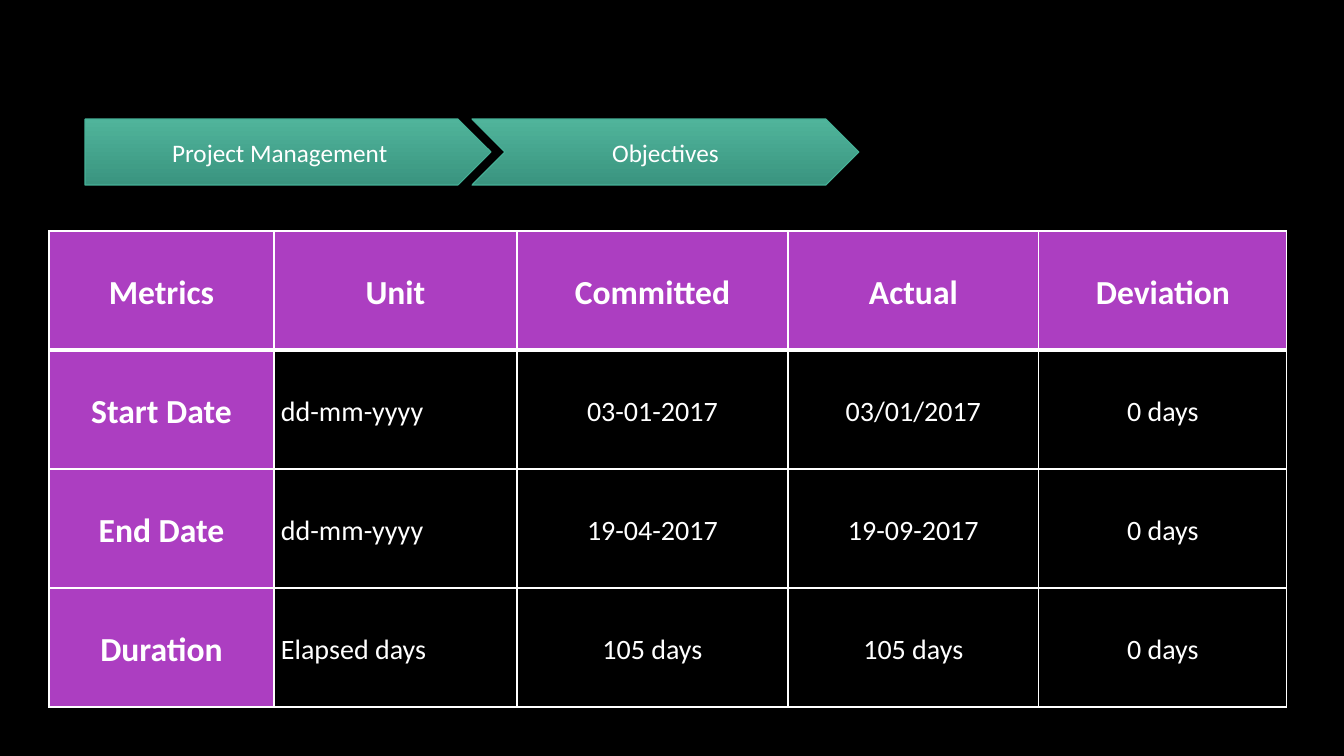
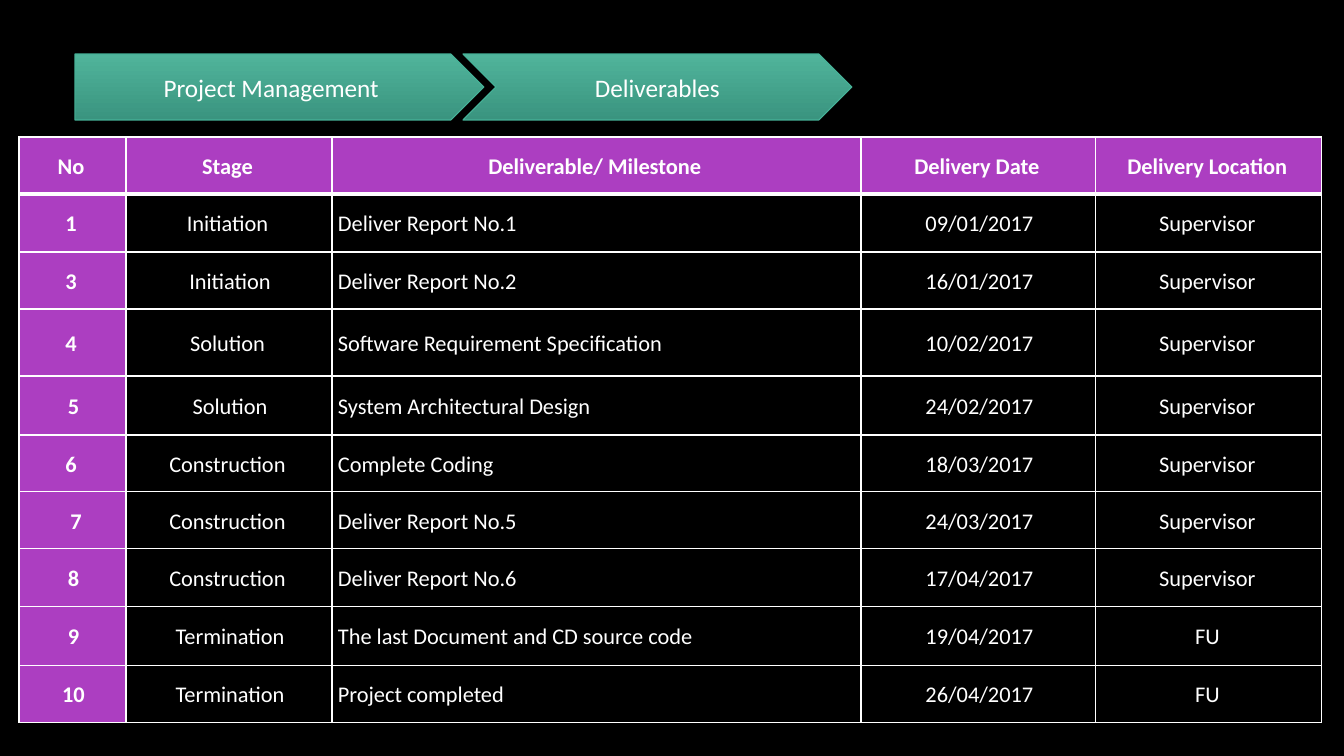
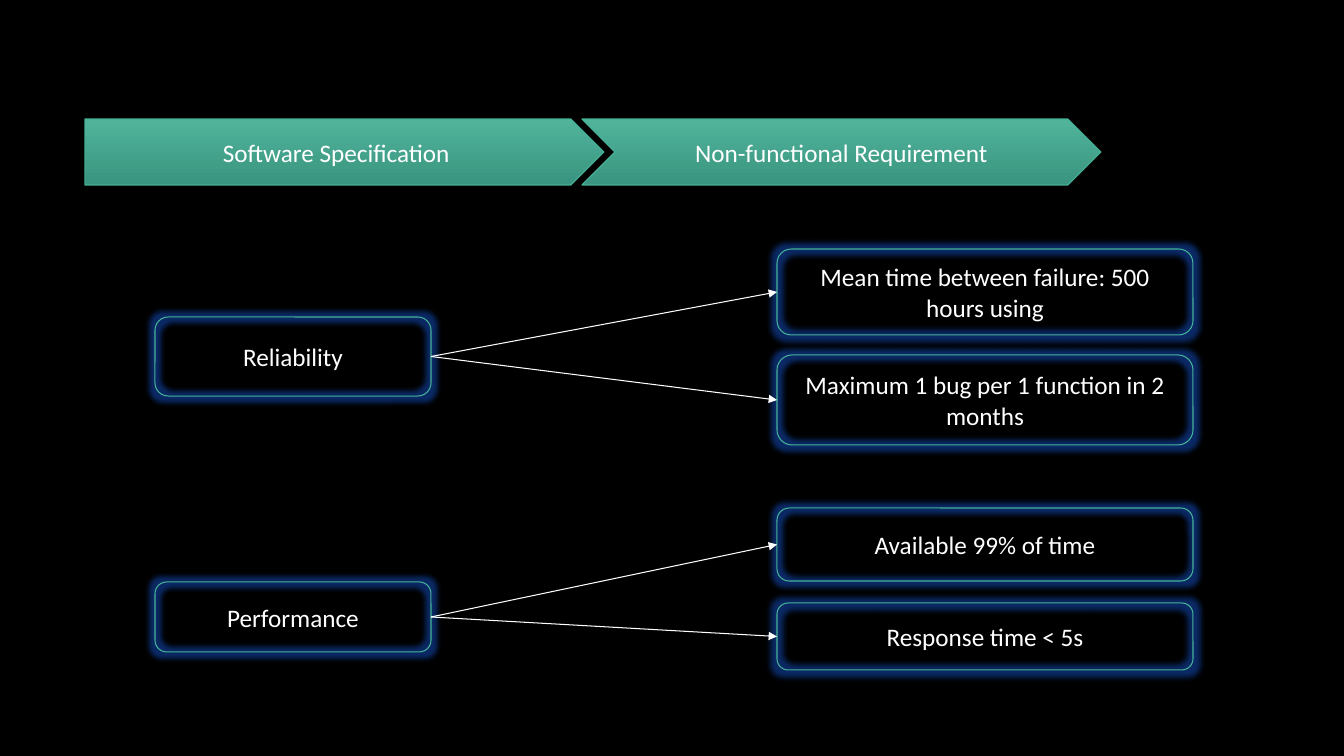
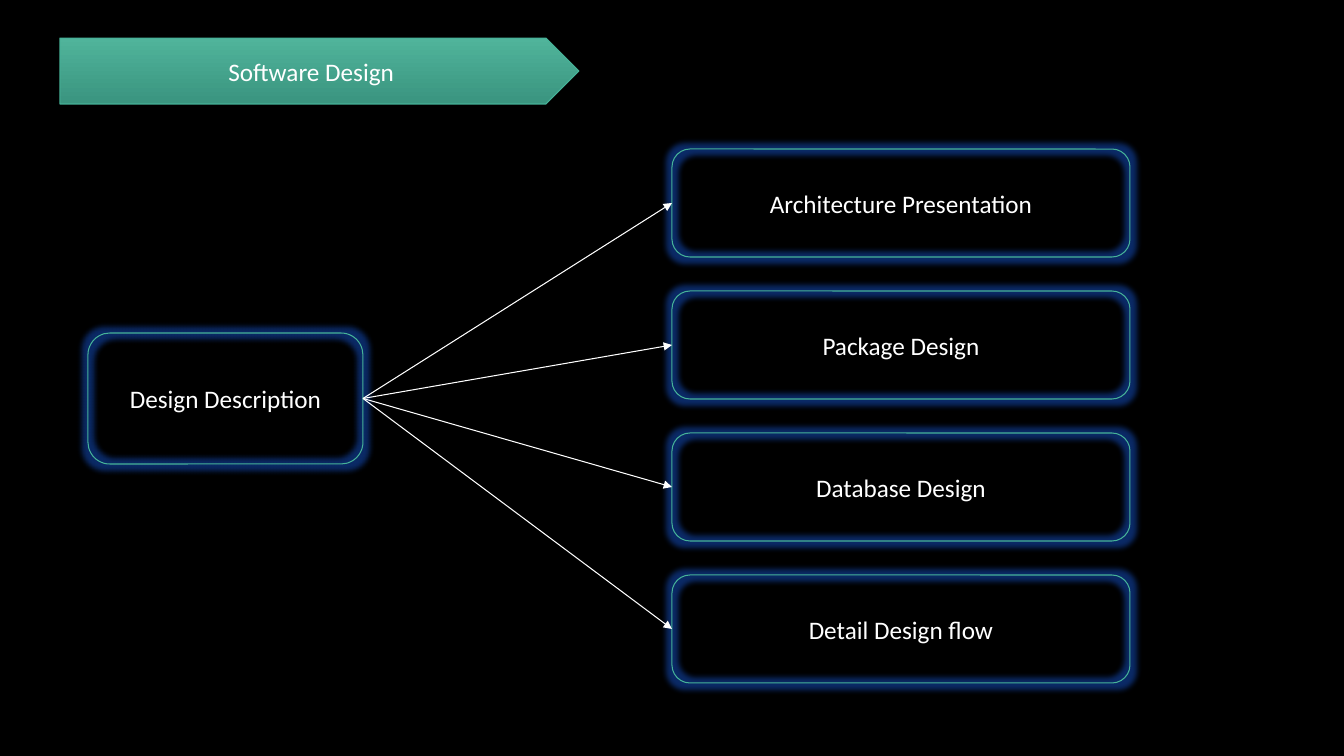
from collections import namedtuple
from itertools import product

from lxml.etree import SubElement
from pptx import Presentation
from pptx.dml.color import RGBColor
from pptx.enum.shapes import MSO_CONNECTOR, MSO_SHAPE
from pptx.enum.text import MSO_ANCHOR, PP_ALIGN
from pptx.oxml.ns import qn
from pptx.util import Emu, Pt

FONT = "Calibri"
WHITE = "FFFFFF"
BLACK = "000000"
PURPLE = "AC3EC1"
GREEN = "46B298"
GREEN_TOP = "50B49B"
GREEN_BOTTOM = "3A947F"
GLOW = "1B69FF"
STEP_HEIGHT = 66
LEFT_SITE, RIGHT_SITE = 1, 3

Box = namedtuple("Box", "left top width height")
TableStyle = namedtuple("TableStyle", "head_size body_size spacing left_inset right_inset")

OBJECTIVES = [
    ("Metrics", "Unit", "Committed", "Actual", "Deviation"),
    ("Start Date", "dd-mm-yyyy", "03-01-2017", "03/01/2017", "0 days"),
    ("End Date", "dd-mm-yyyy", "19-04-2017", "19-09-2017", "0 days"),
    ("Duration", "Elapsed days", "105 days", "105 days", "0 days"),
]

DELIVERABLES = [
    ("No ", "Stage ", "Deliverable/ Milestone ", "Delivery Date ", "Delivery Location "),
    ("1 ", "Initiation ", "Deliver Report No.1", "09/01/2017", "Supervisor "),
    ("3 ", "Initiation", "Deliver Report No.2", "16/01/2017", "Supervisor "),
    ("4 ", "Solution ", "Software Requirement Specification", "10/02/2017", "Supervisor "),
    ("5", "Solution", "System Architectural Design", "24/02/2017", "Supervisor "),
    ("6 ", "Construction ", "Complete Coding", "18/03/2017", "Supervisor "),
    (" 7", "Construction ", "Deliver Report No.5", "24/03/2017", "Supervisor "),
    ("8", "Construction ", "Deliver Report No.6", "17/04/2017", "Supervisor "),
    ("9", "Termination", "The last Document and CD source code", "19/04/2017", "FU "),
    ("10", "Termination", "Project completed", "26/04/2017", "FU "),
]


def px(length):
    return Emu(round(length * 914400 / 100.8))


def color(value):
    return RGBColor.from_string(value)


def place(box):
    return [px(length) for length in box]


def write(frame, text, size, bold=False, align=PP_ALIGN.CENTER):
    para = frame.paragraphs[0]
    para.text = text
    para.alignment = align
    para.font.name = FONT
    para.font.size = Pt(size)
    para.font.bold = bold
    para.font.color.rgb = color(WHITE)
    return para


def add_label_shape(page, kind, box, text):
    shape = page.shapes.add_shape(kind, *place(box))
    shape.shadow.inherit = False
    shape.line.color.rgb = color(GREEN)
    shape.line.width = Pt(0.75)
    shape.text_frame.word_wrap = True
    shape.text_frame.vertical_anchor = MSO_ANCHOR.MIDDLE
    write(shape.text_frame, text, 18)
    return shape


def add_breadcrumb(page, top, steps):
    for index, (text, left, width) in enumerate(steps):
        kind = MSO_SHAPE.CHEVRON if index else MSO_SHAPE.PENTAGON
        step = add_label_shape(page, kind, Box(left, top, width, STEP_HEIGHT), text)
        step.fill.gradient()
        step.fill.gradient_angle = 270
        for stop, value, position in zip(step.fill.gradient_stops, (GREEN_TOP, GREEN_BOTTOM), (0, 1)):
            stop.color.rgb = color(value)
            stop.position = position


def add_glow_box(page, box, text):
    shape = add_label_shape(page, MSO_SHAPE.ROUNDED_RECTANGLE, box, text)
    shape.fill.background()
    effects = shape.element.spPr.find(qn("a:effectLst"))
    glow = SubElement(effects, qn("a:glow"), rad=str(Pt(8)))
    tint = SubElement(glow, qn("a:srgbClr"), val=GLOW)
    SubElement(tint, qn("a:alpha"), val="40000")
    return shape


def add_arrow(page, source, target):
    arrow = page.shapes.add_connector(MSO_CONNECTOR.STRAIGHT, 0, 0, 0, 0)
    arrow.begin_connect(source, RIGHT_SITE)
    arrow.end_connect(target, LEFT_SITE)
    arrow.line.color.rgb = color(WHITE)
    arrow.line.width = Pt(0.75)
    properties = arrow.element.spPr
    SubElement(properties.find(qn("a:ln")), qn("a:tailEnd"), type="triangle")
    SubElement(properties, qn("a:effectLst"))


def add_fan(page, source_box, source_text, targets):
    source = add_glow_box(page, source_box, source_text)
    for box, text in targets:
        add_arrow(page, source, add_glow_box(page, box, text))


def add_borders(cell, row):
    properties = cell._tc.get_or_add_tcPr()
    for side in "LRTB":
        thick = (side, row) in (("B", 0), ("T", 1))
        border = SubElement(properties, qn(f"a:ln{side}"), w=str(Pt(3 if thick else 1)))
        fill = SubElement(border, qn("a:solidFill"))
        SubElement(fill, qn("a:srgbClr"), val=WHITE)


def add_grid(page, left, top, columns, heights, rows, style, left_column):
    box = Box(left, top, sum(columns), sum(heights))
    table = page.shapes.add_table(len(rows), len(columns), *place(box)).table
    table.horz_banding = False
    for column, width in zip(table.columns, columns):
        column.width = px(width)
    for line, height in zip(table.rows, heights):
        line.height = px(height)
    for row, column in product(range(len(rows)), range(len(columns))):
        cell = table.cell(row, column)
        heading = row == 0 or column == 0
        cell.vertical_anchor = MSO_ANCHOR.MIDDLE
        cell.margin_left = px(style.left_inset)
        cell.margin_right = px(style.right_inset)
        cell.margin_top = cell.margin_bottom = 0
        add_borders(cell, row)
        if heading:
            cell.fill.solid()
            cell.fill.fore_color.rgb = color(PURPLE)
        else:
            cell.fill.background()
        align = PP_ALIGN.LEFT if row and column == left_column else PP_ALIGN.CENTER
        size = style.head_size if heading else style.body_size
        para = write(cell.text_frame, rows[row][column], size, heading, align)
        para.line_spacing = style.spacing


def build_objectives(page):
    add_breadcrumb(page, 119, [("Project Management", 85, 406), ("Objectives", 472, 387)])
    add_grid(page, 49, 231, [225, 243, 271, 251, 248], [119] * 4, OBJECTIVES,
             TableStyle(24, 20, 1.15, 7, 7), left_column=1)


def build_deliverables(page):
    add_breadcrumb(page, 54, [("Project Management", 75, 409), ("Deliverables", 463, 389)])
    add_grid(page, 19, 137, [107, 206, 529, 235, 226],
             [57, 58, 57, 67, 59, 57, 57, 58, 59, 57], DELIVERABLES,
             TableStyle(16, 16, 1.07, 6, 4), left_column=2)


def build_requirements(page):
    add_breadcrumb(page, 119, [("Software Specification", 85, 519),
                               ("Non-functional Requirement", 582, 519)])
    add_fan(page, Box(155, 317, 276, 79), "Reliability", [
        (Box(777, 249, 416, 86), "Mean time between failure: 500 hours using"),
        (Box(777, 355, 416, 90), "Maximum 1 bug per 1 function in 2 months"),
    ])
    add_fan(page, Box(155, 582, 276, 70), "Performance", [
        (Box(777, 508, 416, 73), "Available 99% of time"),
        (Box(777, 603, 416, 67), "Response time < 5s"),
    ])


def build_design(page):
    add_breadcrumb(page, 38, [("Software Design", 60, 519)])
    topics = ["Architecture Presentation", "Package Design", "Database Design", "Detail Design flow"]
    add_fan(page, Box(88, 333, 275, 131), "Design Description", [
        (Box(672, 149 + 142 * index, 458, 108), topic) for index, topic in enumerate(topics)
    ])


def main():
    deck = Presentation()
    deck.slide_width, deck.slide_height = px(1344), px(756)
    backdrop = deck.slide_master.background.fill
    backdrop.solid()
    backdrop.fore_color.rgb = color(BLACK)
    blank = deck.slide_layouts.get_by_name("Blank")
    for build in (build_objectives, build_deliverables, build_requirements, build_design):
        build(deck.slides.add_slide(blank))
    deck.save("out.pptx")


if __name__ == "__main__":
    main()
